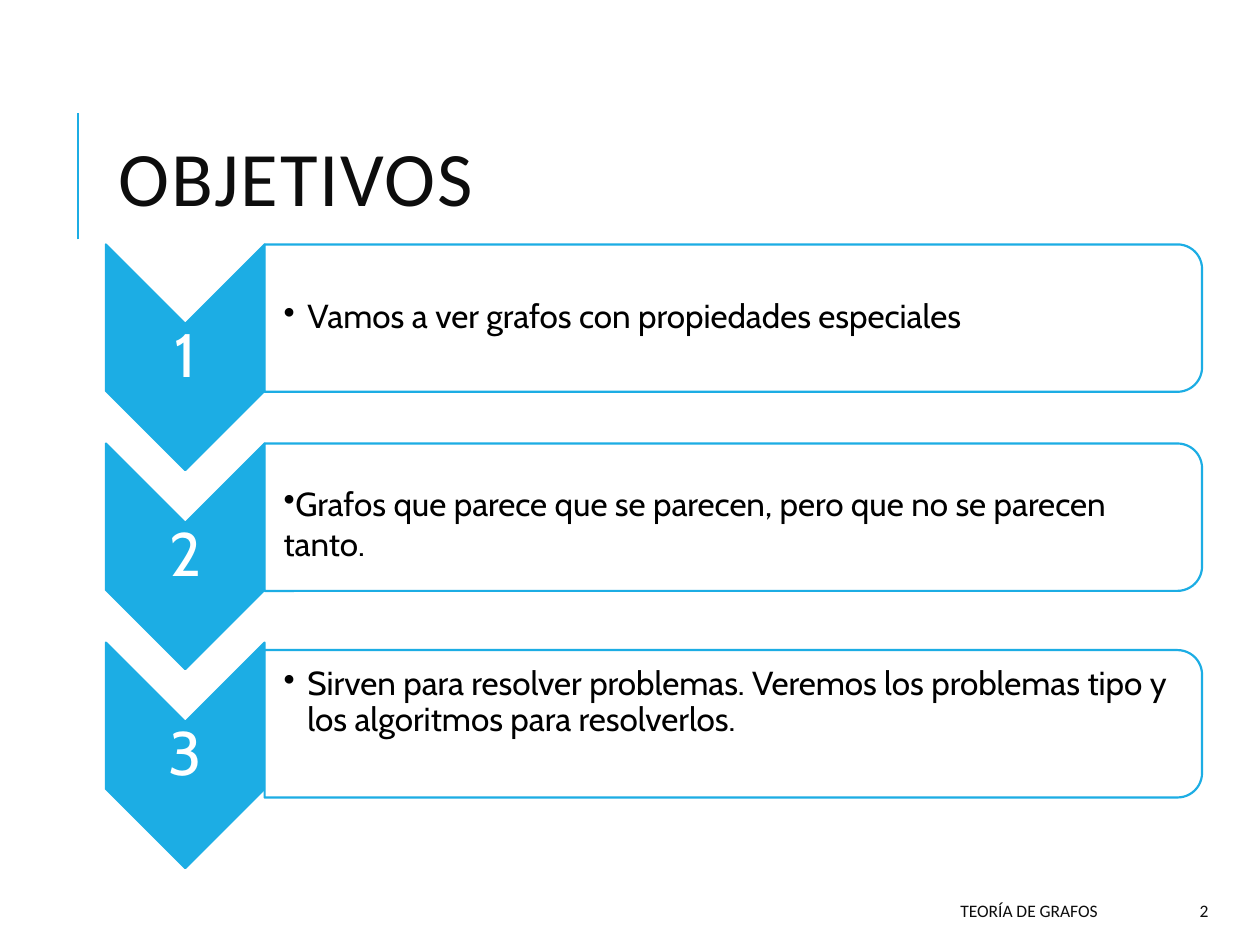
from pptx import Presentation
from pptx.dml.color import RGBColor
from pptx.enum import shapes, text
from pptx.oxml import ns
from pptx.util import Inches, Pt
from lxml import etree

BLUE = RGBColor(0x1C, 0xAD, 0xE4)
WHITE = RGBColor(0xFF, 0xFF, 0xFF)
BLACK = RGBColor(0, 0, 0)
DARK = RGBColor(0x0D, 0x0D, 0x0D)

TITLE = "OBJETIVOS"
# text, top of text box, hanging indent, line spacing, top and bottom insets
GOALS = [
    ("Vamos a ver grafos con propiedades especiales", 2, 0.19, 0.9, 0.01, 0.01),
    ("Grafos que parece que se parecen, pero que no se parecen tanto.",
     3.58, 0, 1, 0.11, 0.01),
    ("Sirven para resolver problemas. Veremos los problemas tipo y "
     "los algoritmos para resolverlos.", 5.22, 0.19, 0.9, 0.01, 0.34),
]
FOOT = [("TEORÍA DE GRAFOS", 3.97, 4.84), ("2", 8.89, 0.8)]

LEFT, TOP, STEP = 0.84, 1.94, 1.58
WIDE, TALL = 1.26, 1.79
BAR_W, BAR_H = 7.44, 1.17


def sub(node, tag, **attrs):
    return etree.SubElement(node, ns.qn(tag), attrs)


def write(shape, words, size, font, color, align, insets=None):
    frame = shape.text_frame
    frame.word_wrap = True
    frame.auto_size = text.MSO_AUTO_SIZE.NONE
    frame.vertical_anchor = text.MSO_ANCHOR.MIDDLE
    if insets:
        (frame.margin_left, frame.margin_top,
         frame.margin_right, frame.margin_bottom) = map(Inches, insets)
    frame.text = words
    para = frame.paragraphs[0]
    para.alignment = align
    run = para.runs[0].font
    run.size, run.name = Pt(size), font
    run.color.rgb = color
    return para


def box(slide, *place):
    return slide.shapes.add_textbox(*map(Inches, place))


def turned(slide, kind, x, y, w, h, fill):
    """Add a shape turned by 90 degrees that shows in the area x, y, w, h."""
    place = (x + (w - h) / 2, y + (h - w) / 2, h, w)
    shape = slide.shapes.add_shape(kind, *map(Inches, place))
    shape.rotation = 90
    shape.shadow.inherit = False
    shape.fill.solid()
    shape.fill.fore_color.rgb = fill
    shape.line.color.rgb = BLUE
    shape.line.width = Pt(1.25)
    return shape


def bullet(para, indent):
    props = para._p.get_or_add_pPr()
    props.set("marL", str(Inches(indent)))
    props.set("indent", str(-Inches(indent)))
    sub(props, "a:buChar", char="•")


def goal(slide, i, words, top, indent, space, above, below):
    y = TOP + i * STEP
    turned(slide, shapes.MSO_SHAPE.CHEVRON, LEFT, y, WIDE, TALL, BLUE)
    num = box(slide, LEFT, y + 0.63, WIDE, 0.54)
    para = write(num, str(i + 1), 35, "Cabin", WHITE,
                 text.PP_ALIGN.CENTER, [0.02] * 4)
    para.line_spacing = 0.9

    bar = turned(slide, shapes.MSO_SHAPE.ROUND_2_SAME_RECTANGLE,
                 LEFT + WIDE, top - 0.06, BAR_W, BAR_H, WHITE)
    tint = bar.fill._xPr.find(".//" + ns.qn("a:srgbClr"))
    sub(tint, "a:alpha", val="90000")
    para = write(box(slide, LEFT + WIDE, top, 7.38, 1.05), words, 19, "Cabin",
                 BLACK, text.PP_ALIGN.LEFT, [0.15, above, 0.01, below])
    para.line_spacing = space
    bullet(para, indent)


def main():
    deck = Presentation()
    deck.slide_width, deck.slide_height = Inches(10), Inches(7.5)
    slide = deck.slides.add_slide(deck.slide_layouts[5])

    rule = slide.shapes.add_connector(
        shapes.MSO_CONNECTOR.STRAIGHT, *map(Inches, (0.62, 1.9, 0.62, 0.9)))
    rule.line.color.rgb = BLUE
    rule.line.width = Pt(1.5)
    sub(rule._element.spPr, "a:effectLst")

    title = slide.shapes.title
    title.left, title.top, title.width, title.height = map(
        Inches, (LEFT, 0.64, 7.97, 1.64))
    para = write(title, TITLE, 44, "Calibri", DARK, text.PP_ALIGN.LEFT)
    para.line_spacing = 0.8
    para.runs[0].font._element.set("spc", "100")

    for i, item in enumerate(GOALS):
        goal(slide, i, *item)
    for words, x, w in FOOT:
        write(box(slide, x, 7.08, w, 0.3), words, 10, "Calibri", DARK,
              text.PP_ALIGN.RIGHT)
    deck.save("out.pptx")


if __name__ == "__main__":
    main()
